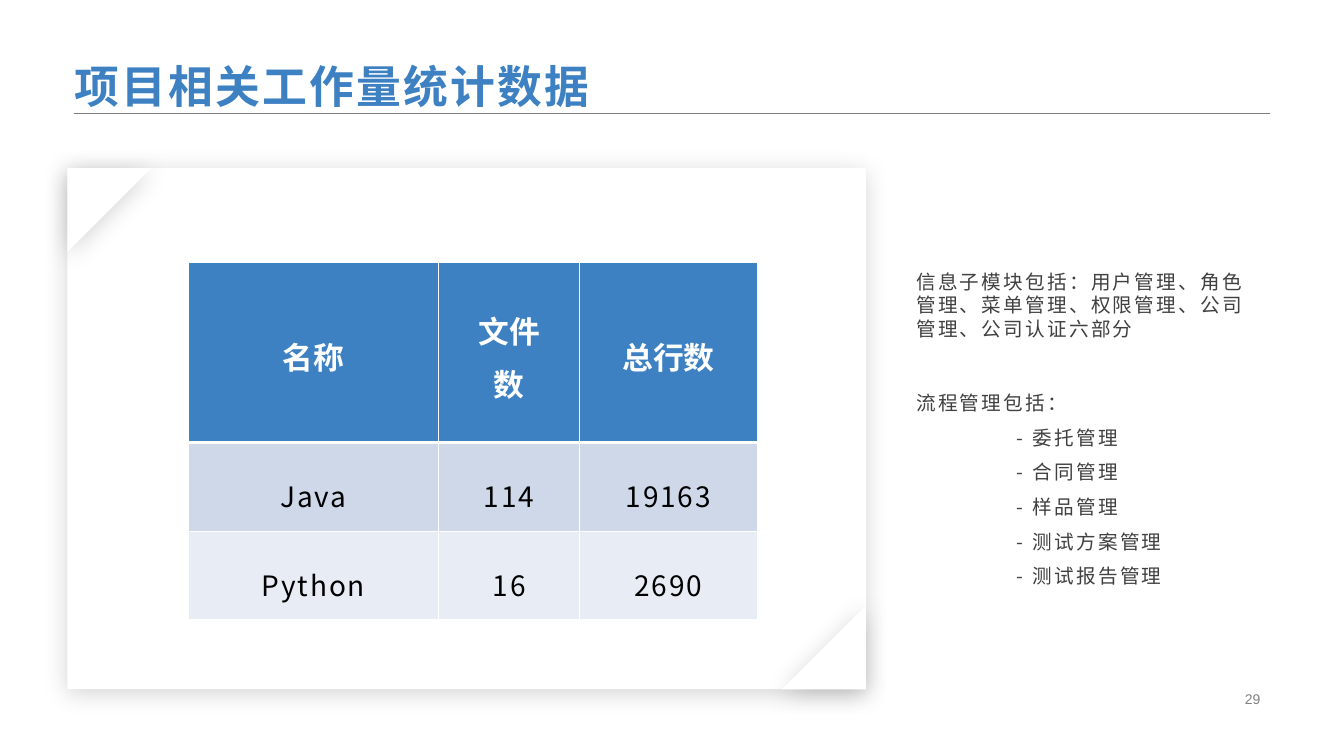
from lxml.etree import SubElement as Sub
from pptx import Presentation
from pptx.dml.color import RGBColor as Rgb
from pptx.enum.shapes import MSO_CONNECTOR as Conn, MSO_SHAPE as Kind
from pptx.enum.text import MSO_ANCHOR as Anchor, PP_ALIGN as Align
from pptx.oxml import parse_xml
from pptx.oxml.ns import nsdecls, qn
from pptx.util import Cm, Pt

HUES = {
    "blue": "3E81C3", "white": "FFFFFF", "black": "000000", "text": "404040",
    "gray": "808080", "band1": "CED8E9", "band2": "E8EDF5",
}
SANS = "Noto Sans CJK SC"
PAD = {"margin_left": Cm(0.18), "margin_right": Cm(0.18),
       "margin_top": Cm(0.08), "margin_bottom": Cm(0.08)}
CELL = {"margin_left": Cm(0.89), "margin_right": Cm(0.89),
        "margin_top": Cm(0.61), "margin_bottom": Cm(0.61),
        "vertical_anchor": Anchor.MIDDLE}

HEAD = "项目相关工作量统计数据"
ROWS = [("名称", "文件数", "总行数"), ("Java", "114", "19163"), ("Python", "16", "2690")]
INFO = "信息子模块包括：用户管理、角色管理、菜单管理、权限管理、公司管理、公司认证六部分"
FLOW = "流程管理包括："
STEPS = ["委托管理", "合同管理", "样品管理", "测试方案管理", "测试报告管理"]


def rgb(hue):
    return Rgb.from_string(HUES[hue])


def apply(item, form):
    for key, val in form.items():
        setattr(item, key, val)


def write(para, text, size, hue, bold=False, gap=0, face=SANS, **form):
    """Fill one paragraph with a single styled run; gap is letter spacing."""
    apply(para, form)
    run = para.add_run()
    run.text = text
    run.font.color.rgb = rgb(hue)
    apply(run.font, {"size": Pt(size), "bold": bold, "name": face})
    props = run.font._element
    Sub(props, qn("a:ea")).set("typeface", face)
    if gap:
        props.set("spc", str(int(gap * 100)))


def add_text(slide, box, **form):
    frame = slide.shapes.add_textbox(*map(Cm, box)).text_frame
    apply(frame, {"word_wrap": True, **form})
    return frame


def add_paper(slide, kind, box, flip=None):
    """White sheet with a soft shadow below it."""
    sheet = slide.shapes.add_shape(kind, *map(Cm, box))
    sheet.fill.solid()
    sheet.fill.fore_color.rgb = rgb("white")
    sheet.line.fill.background()
    sheet.shadow.inherit = False
    props = sheet._element.spPr
    if flip:
        props.find(qn("a:xfrm")).set(flip, "1")
    props.find(qn("a:effectLst")).append(parse_xml(
        f'<a:outerShdw {nsdecls("a")} blurRad="{Pt(17)}" dist="{Pt(3)}" dir="5400000" '
        f'algn="t" rotWithShape="0"><a:srgbClr val="{HUES["black"]}">'
        '<a:alpha val="17000"/></a:srgbClr></a:outerShdw>'))


def add_head(slide, left, top, wide, high):
    # Rule under the title
    base = Cm(top + high - 0.08)
    rule = slide.shapes.add_connector(
        Conn.STRAIGHT, Cm(left + 0.16), base, Cm(left + wide - 0.18), base)
    rule.line.color.rgb = rgb("gray")
    rule.line.width = Pt(0.25)
    Sub(rule._element.spPr, qn("a:effectLst"))
    # Title
    frame = add_text(slide, (left, top, wide, high), vertical_anchor=Anchor.BOTTOM, **PAD)
    write(frame.paragraphs[0], HEAD, 32, "blue", bold=True, gap=1.6)


def edge_cell(cell, base):
    """White borders; base is the width of the lower one."""
    props = cell._tc.get_or_add_tcPr()
    for spot, (side, width) in enumerate(zip("LRTB", (1, 1, 1, base))):
        props.insert(spot, parse_xml(
            f'<a:ln{side} {nsdecls("a")} w="{Pt(width)}"><a:solidFill>'
            f'<a:srgbClr val="{HUES["white"]}"/></a:solidFill></a:ln{side}>'))


def add_grid(slide, left, top):
    cols, highs = (6.3, 3.56, 4.47), (4.55, 2.18, 2.21)
    box = map(Cm, (left, top, sum(cols), sum(highs)))
    grid = slide.shapes.add_table(len(highs), len(cols), *box).table
    for col, wide in zip(grid.columns, cols):
        col.width = Cm(wide)
    fills = ("blue", "band1", "band2")
    for r, (row, high, texts) in enumerate(zip(grid.rows, highs, ROWS)):
        row.height = Cm(high)
        look = {"size": 20, "hue": "black", "gap": 1.3}
        if r == 0:
            look = {"size": 22, "hue": "white", "bold": True}
        for cell, text in zip(row.cells, texts):
            apply(cell, CELL)
            cell.fill.solid()
            cell.fill.fore_color.rgb = rgb(fills[r])
            # The header's lower border is shared with the row below it
            edge_cell(cell, 1 if r else 3)
            if r == 1:
                cell._tc.tcPr.find(qn("a:lnT")).set("w", str(Pt(3)))
            write(cell.text_frame.paragraphs[0], text,
                  alignment=Align.CENTER, line_spacing=1.2, **look)


def add_card(slide, left, top, wide, high):
    fold = 2.11
    add_paper(slide, Kind.RECTANGLE, (left, top, wide, high))
    # Folded corners
    add_paper(slide, Kind.RIGHT_TRIANGLE,
              (left + wide - fold, top + high - fold, fold, fold), "flipH")
    add_paper(slide, Kind.RIGHT_TRIANGLE, (left, top, fold, fold), "flipV")
    add_grid(slide, left + 3.05, top + 2.36)


def add_notes(slide, *box):
    frame = add_text(slide, box, vertical_anchor=Anchor.MIDDLE, **PAD)
    look = {"size": 14, "hue": "text", "gap": 1.6,
            "line_spacing": 1.0, "space_after": Pt(8)}
    write(frame.paragraphs[0], INFO, **look)
    write(frame.add_paragraph(), FLOW, space_before=Pt(28), **look)
    for step in STEPS:
        para = frame.add_paragraph()
        write(para, f"- {step}", **look)
        para._p.get_or_add_pPr().set("marL", str(Cm(2.54)))


def add_page(slide, *box):
    frame = add_text(slide, box, vertical_anchor=Anchor.MIDDLE)
    write(frame.paragraphs[0], "29", 10, "gray", face="Arial", alignment=Align.RIGHT)


def main():
    deck = Presentation()
    apply(deck, {"slide_width": Cm(33.87), "slide_height": Cm(19.05)})
    slide = deck.slides.add_slide(deck.slide_layouts[6])
    add_head(slide, 1.7, 1.22, 30.48, 1.7)
    add_card(slide, 1.7, 4.24, 20.12, 13.13)
    add_notes(slide, 22.91, 4.24, 9.09, 13.13)
    add_page(slide, 23.93, 17.32, 8.08, 0.58)
    deck.save("out.pptx")


if __name__ == "__main__":
    main()
